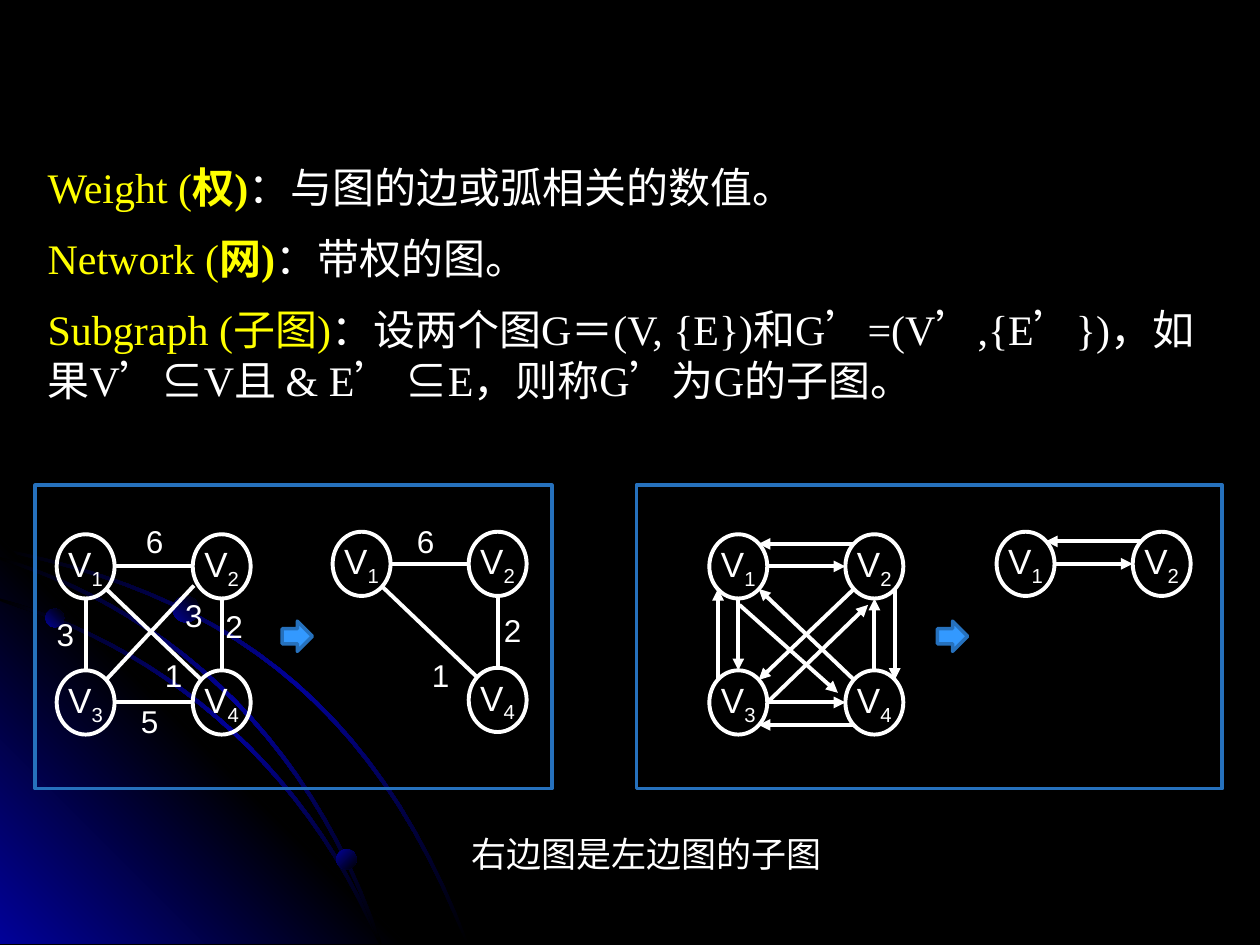
import copy

import lxml.etree
import pptx
import pptx.dml.color
import pptx.enum.shapes
import pptx.enum.text
import pptx.oxml.ns
import pptx.util

Inches = pptx.util.Inches
Pt = pptx.util.Pt
qn = pptx.oxml.ns.qn
Kind = pptx.enum.shapes.MSO_SHAPE

WHITE, BLACK, YELLOW = "FFFFFF", "000000", "FFFF00"
NAVY, SKY, STEEL = "010199", "3399FF", "2671BD"
SANS, SERIF = "Arial", "Times New Roman"

PITCH, WIDTH, HEIGHT = 1.08, 0.46, 0.51
PORTS = {
    "n": (0.5, 0), "e": (1, 0.5), "s": (0.5, 1), "w": (0, 0.5),
    "nw": (0.15, 0.15), "ne": (0.85, 0.15),
    "sw": (0.15, 0.85), "se": (0.85, 0.85),
    "low west": (0.02, 0.8), "off west": (-0.13, 0.35),
    "off south": (0.52, 1.1), "off sw": (0.39, 1.1),
}


def paint(code):
    return pptx.dml.color.RGBColor.from_string(code)


def bezier(start, pull, push, end, steps=24):
    points = []
    for i in range(steps + 1):
        t = i / steps
        u = 1 - t
        points.append(tuple(
            u**3 * a + 3 * u * u * t * b + 3 * u * t * t * c + t**3 * d
            for a, b, c, d in zip(start, pull, push, end)))
    return points


def corner(index):
    row, col = divmod(index - 1, 2)
    return col * PITCH, row * PITCH


def anchor(index, port):
    x, y = corner(index)
    across, down = PORTS[port]
    return x + across * WIDTH, y + down * HEIGHT


class Board:
    def __init__(self, slide):
        self.shapes = slide.shapes
        fill = slide.background.fill
        fill.solid()
        fill.fore_color.rgb = paint(BLACK)

    def style(self, run, size, font, color, bold=False):
        run.font.size = Pt(size)
        run.font.name = font
        run.font.color.rgb = paint(color)
        run.font.bold = bold

    def fade(self, shape, colors, angle):
        shape.shadow.inherit = False
        shape.line.fill.background()
        shape.fill.gradient()
        stops = shape._element.spPr.find(".//" + qn("a:gsLst"))
        while len(stops) < len(colors):
            stops.append(copy.deepcopy(stops[-1]))
        for i, (stop, color) in enumerate(zip(shape.fill.gradient_stops, colors)):
            stop.position = i / (len(colors) - 1)
            stop.color.rgb = paint(color)
        shape.fill.gradient_angle = 360 - angle

    def patch(self, points, colors, angle):
        first, *rest = [(Inches(x), Inches(y)) for x, y in points]
        pen = self.shapes.build_freeform(*first, scale=1.0)
        pen.add_line_segments(rest, close=True)
        self.fade(pen.convert_to_shape(), colors, angle)

    def streak(self, curve, drop=0.02):
        upper = bezier(*curve)
        lower = [(max(x - drop, 0), min(y + drop, 7.49)) for x, y in upper]
        self.patch(upper + lower[::-1], (BLACK, NAVY, BLACK), 45)

    def dot(self, x, y, size, angle):
        shape = self.shapes.add_shape(
            Kind.OVAL, Inches(x), Inches(y), Inches(size), Inches(size))
        self.fade(shape, (NAVY, BLACK), angle)

    def shape(self, kind, x, y, w, h, line, weight, fill=None):
        shape = self.shapes.add_shape(
            kind, Inches(x), Inches(y), Inches(w), Inches(h))
        shape.shadow.inherit = False
        shape.line.color.rgb = paint(line)
        shape.line.width = Pt(weight)
        if fill:
            shape.fill.solid()
            shape.fill.fore_color.rgb = paint(fill)
        else:
            shape.fill.background()
        return shape

    def node(self, x, y, index):
        shape = self.shape(Kind.OVAL, x, y, WIDTH, HEIGHT, WHITE, 2.25)
        frame = shape.text_frame
        frame.word_wrap = False
        frame.vertical_anchor = pptx.enum.text.MSO_ANCHOR.MIDDLE
        para = frame.paragraphs[0]
        para.alignment = pptx.enum.text.PP_ALIGN.CENTER
        for word in ("V", str(index)):
            run = para.add_run()
            run.text = word
            self.style(run, 20, SANS, WHITE)
        run.font._element.set("baseline", "-25000")

    def edge(self, start, end, head):
        edge = self.shapes.add_connector(
            pptx.enum.shapes.MSO_CONNECTOR.STRAIGHT,
            *[Inches(value) for value in (*start, *end)])
        edge.line.color.rgb = paint(WHITE)
        edge.line.width = Pt(2.25)
        props = edge._element.spPr
        if head:
            tip = lxml.etree.SubElement(props.find(qn("a:ln")), qn("a:tailEnd"))
            tip.set("type", "triangle")
        lxml.etree.SubElement(props, qn("a:effectLst"))

    def graph(self, x, y, nodes, edges, head=False):
        for index in nodes:
            dx, dy = corner(index)
            self.node(x + dx, y + dy, index)
        for tail, leave, goal, enter in edges:
            ends = [(x + dx, y + dy) for dx, dy in
                    (anchor(tail, leave), anchor(goal, enter))]
            self.edge(*ends, head)

    def box(self, x, y, w, h):
        box = self.shapes.add_textbox(Inches(x), Inches(y), Inches(w), Inches(h))
        box.text_frame.word_wrap = True
        box.text_frame.auto_size = pptx.enum.text.MSO_AUTO_SIZE.SHAPE_TO_FIT_TEXT
        return box.text_frame

    def label(self, text, x, y, w=0.39, h=0.4, size=18):
        frame = self.box(x, y, w, h)
        frame.text = text
        self.style(frame.paragraphs[0].runs[0], size, SANS, WHITE)

    def terms(self, rows, x, y, w, h):
        frame = self.box(x, y, w, h)
        for i, (name, strong, meaning) in enumerate(rows):
            para = frame.add_paragraph() if i else frame.paragraphs[0]
            para.space_after = Pt(12)
            for text, color, bold in ((name, YELLOW, False),
                                      (strong, YELLOW, True),
                                      (meaning, WHITE, False)):
                if text:
                    run = para.add_run()
                    run.text = text
                    self.style(run, 24, SERIF, color, bold)


def scene(board):
    outer = (0, 4.35), (1.7, 4.69), (2.96, 5.49), (3.72, 7.49)
    lower = (0, 4.75), (1.2, 5.09), (2.4, 5.98), (3.03, 7.49)
    inner = (0, 4.42), (1.2, 4.78), (2.45, 5.73), (3.03, 7.49)
    board.streak(outer)
    board.patch([(3.22, 7.49), (0, 7.49), (0, 4.27)], (NAVY, BLACK, NAVY), 315)
    board.streak(lower)
    board.streak(inner)
    board.dot(0.36, 4.83, 0.15, 315)
    board.dot(2.67, 6.74, 0.16, 45)
    board.dot(1.37, 4.73, 0.21, 315)


def graphs(board):
    top, base = (1, "e", 2, "w"), (3, "e", 4, "w")
    left, right = (1, "s", 3, "n"), (2, "s", 4, "n")
    slant, back = (4, "nw", 1, "se"), (2, "nw", 1, "ne")
    rise = (3, "ne", 2, "low west")
    board.graph(0.45, 4.24, (1, 2, 3, 4), (top, left, right, base, rise, slant))
    board.graph(2.64, 4.22, (1, 2, 4), (top, right, slant))

    returns = (back, (4, "sw", 3, "se"), (3, "nw", 1, "sw"), (4, "n", 2, "s"))
    crosses = ((2, "sw", 3, "ne"), (1, "off south", 4, "off west"),
               (3, "e", 2, "off sw"))
    board.graph(5.63, 4.24, (1, 2, 3, 4),
                (top, left, base, slant, *returns, (2, "se", 4, "ne"), *crosses),
                head=True)
    board.graph(7.91, 4.22, (1, 2), (top, back), head=True)

    weights = (("6", 1.06, 4.09), ("3", 0.35, 4.83), ("2", 1.69, 4.77),
               ("5", 1.02, 5.52), ("3", 1.37, 4.68), ("1", 1.21, 5.16),
               ("6", 3.21, 4.09), ("2", 3.9, 4.8), ("1", 3.33, 5.16))
    for text, x, y in weights:
        board.label(text, x, y)
    for x in (2.24, 7.44):
        board.shape(Kind.RIGHT_ARROW, x, 4.93, 0.24, 0.24, STEEL, 2, SKY)
    for x, width in ((0.28, 4.1), (5.05, 4.65)):
        board.shape(Kind.RECTANGLE, x, 3.85, width, 2.41, STEEL, 2)


def main():
    deck = pptx.Presentation()
    deck.slide_width, deck.slide_height = Inches(10), Inches(7.5)
    board = Board(deck.slides.add_slide(deck.slide_layouts[6]))
    scene(board)
    board.terms([
        ("Weight (", "权)", "：与图的边或弧相关的数值。"),
        ("Network (", "网)", "：带权的图。"),
        ("Subgraph (子图)", "",
         "：设两个图G＝(V, {E})和G’=(V’,{E’})，如果V’⊆V且 & E’ ⊆E，则称G’为G的子图。"),
    ], 0.28, 1.23, 9.37, 2.62)
    graphs(board)
    board.label("右边图是左边图的子图", 3.64, 6.56, 3.63, 0.44, 20)
    deck.save("out.pptx")


if __name__ == "__main__":
    main()
